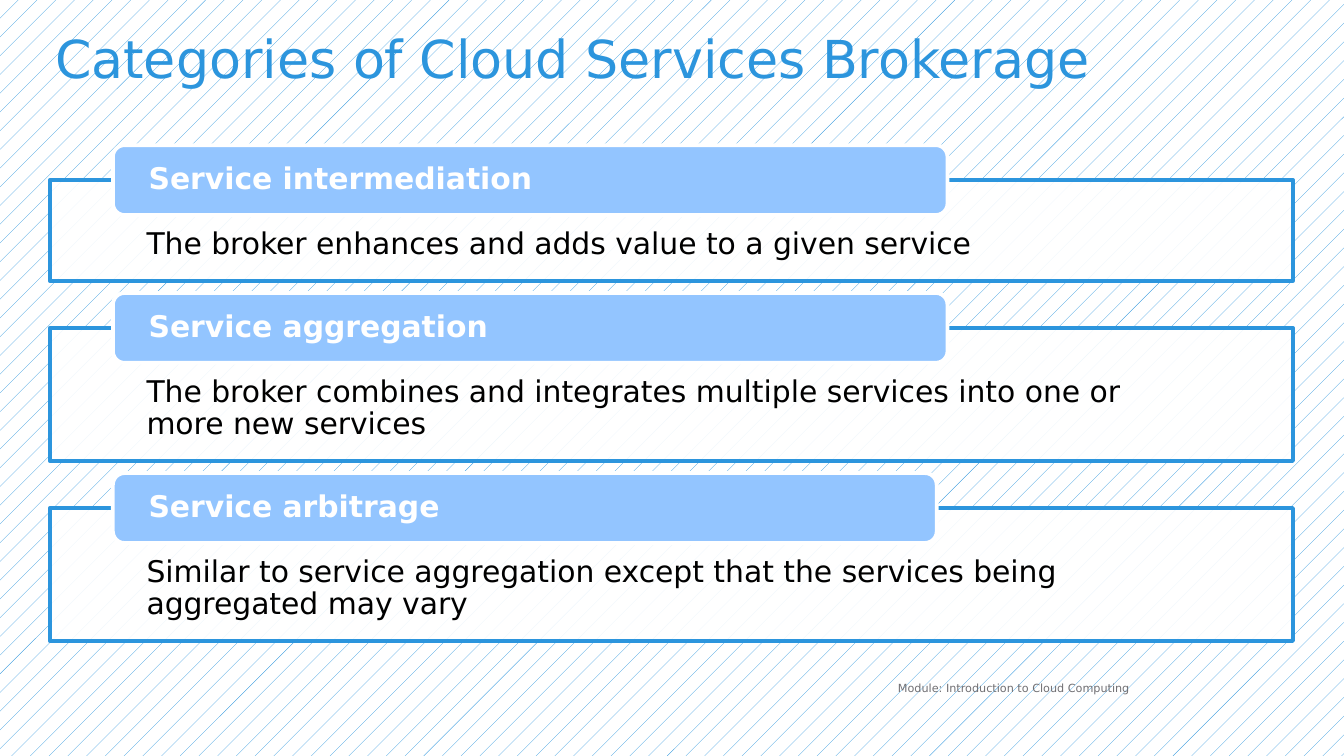
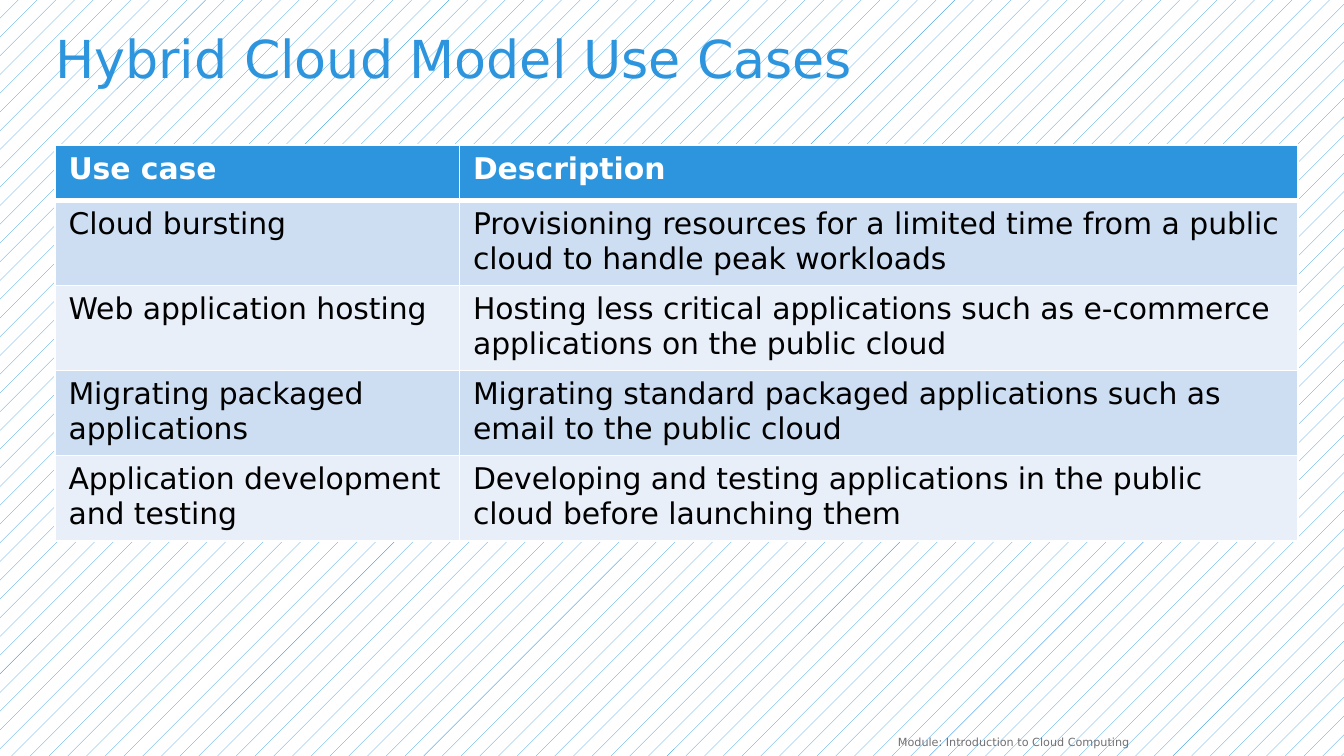
from lxml.etree import SubElement
from pptx import Presentation
from pptx.dml.color import RGBColor
from pptx.enum.dml import MSO_PATTERN
from pptx.enum.shapes import MSO_SHAPE
from pptx.enum.text import MSO_ANCHOR, PP_ALIGN
from pptx.oxml import parse_xml
from pptx.oxml.ns import nsdecls, qn
from pptx.util import Inches, Pt

BLUE = RGBColor(0x2C, 0x95, 0xDD)
SKY = RGBColor(0x93, 0xC5, 0xFF)
PALE = RGBColor(0xCD, 0xDD, 0xF2)
MIST = RGBColor(0xE8, 0xEF, 0xF9)
GREY = RGBColor(0x71, 0x70, 0x74)
WHITE = RGBColor(0xFF, 0xFF, 0xFF)
BLACK = RGBColor(0x00, 0x00, 0x00)
FONT = "DejaVu Sans"


def write(frame, text, size, color, bold=False, align=PP_ALIGN.LEFT, space=None,
          anchor=MSO_ANCHOR.TOP, pads=None):
    frame.word_wrap = True
    frame.vertical_anchor = anchor
    if pads:
        side, top, base = pads
        frame.margin_left = frame.margin_right = Inches(side)
        frame.margin_top, frame.margin_bottom = Inches(top), Inches(base)
    para = frame.paragraphs[0]
    para.text = text
    para.alignment = align
    if space:
        para.line_spacing = space
    font = para.font
    font.name, font.size, font.bold = FONT, Pt(size), bold
    font.color.rgb = color


def panel(slide, kind, box, fill, line):
    shape = slide.shapes.add_shape(kind, *map(Inches, box))
    shape.shadow.inherit = False
    shape.fill.solid()
    shape.fill.fore_color.rgb = fill
    shape.line.color.rgb = line
    shape.line.width = Pt(2)
    return shape


deck = Presentation()
deck.slide_width = Inches(10)
deck.slide_height = Inches(10) * 9 // 16

pages = [
    ("Categories of Cloud Services Brokerage", (3.11, 5.02, 5.39, 0.55)),
    ("Hybrid Cloud Model Use Cases", (2.83, 5.42, 5.67, 0.15)),
]
for head, foot in pages:
    slide = deck.slides.add_slide(deck.slide_layouts[5])
    back = slide.background.fill
    back.patterned()
    back.pattern = MSO_PATTERN.PERCENT_5
    back.fore_color.rgb = BLUE
    back.back_color.rgb = WHITE
    title = slide.shapes.title
    title.left, title.top = Inches(0.41), Inches(0.25)
    title.width, title.height = Inches(9.25), Inches(0.5)
    write(title.text_frame, head, 28, BLUE, space=0.9, pads=(0, 0, 0))
    note = slide.shapes.add_textbox(*map(Inches, foot))
    write(note.text_frame, "Module: Introduction to Cloud Computing", 6, GREY,
          align=PP_ALIGN.RIGHT)

brokers, cases = deck.slides

kinds = [
    ("Service intermediation", "The broker enhances and adds value to a given service",
     0.75, 6.21),
    ("Service aggregation",
     "The broker combines and integrates multiple services into one or more new services",
     0.99, 6.21),
    ("Service arbitrage",
     "Similar to service aggregation except that the services being aggregated may vary",
     0.99, 6.13),
]
top = 1.34
for name, text, high, wide in kinds:
    body = panel(brokers, MSO_SHAPE.RECTANGLE, (0.37, top, 9.25, high), WHITE, BLUE)
    shade = body.fill._xPr.find(qn("a:solidFill"))[0]
    SubElement(shade, qn("a:alpha")).set("val", "90000")
    write(body.text_frame, text, 16, BLACK, space=0.9, pads=(0.72, 0.36, 0.12))
    tab = panel(brokers, MSO_SHAPE.ROUNDED_RECTANGLE, (0.84, top - 0.26, wide, 0.52),
                SKY, WHITE)
    write(tab.text_frame, name, 16, WHITE, bold=True, space=0.9,
          anchor=MSO_ANCHOR.MIDDLE, pads=(0.24, 0.03, 0.03))
    top += high + 0.35

rows = [
    ("Use case", "Description"),
    ("Cloud bursting",
     "Provisioning resources for a limited time from a public cloud to handle peak workloads"),
    ("Web application hosting",
     "Hosting less critical applications such as e-commerce applications on the public cloud"),
    ("Migrating packaged applications",
     "Migrating standard packaged applications such as email to the public cloud"),
    ("Application development and testing",
     "Developing and testing applications in the public cloud before launching them"),
]
grid = cases.shapes.add_table(len(rows), 2, Inches(0.41), Inches(1.08), Inches(9.25),
                              Inches(0.41 * len(rows))).table
for col, wide in zip(grid.columns, (3.01, 6.24)):
    col.width = Inches(wide)
for r, row in enumerate(rows):
    grid.rows[r].height = Inches(0.41)
    for c, text in enumerate(row):
        cell = grid.cell(r, c)
        cell.fill.solid()
        cell.fill.fore_color.rgb = BLUE if r == 0 else PALE if r % 2 else MIST
        write(cell.text_frame, text, 16, BLACK if r else WHITE, bold=r == 0)

for cell in grid.rows[0].cells:
    props = cell._tc.get_or_add_tcPr()
    for i, (side, thick) in enumerate(zip("LRTB", (1, 1, 1, 3))):
        props.insert(i, parse_xml(
            f'<a:ln{side} {nsdecls("a")} w="{Pt(thick)}"><a:solidFill>'
            f'<a:srgbClr val="{WHITE}"/></a:solidFill></a:ln{side}>'))

deck.save("out.pptx")
